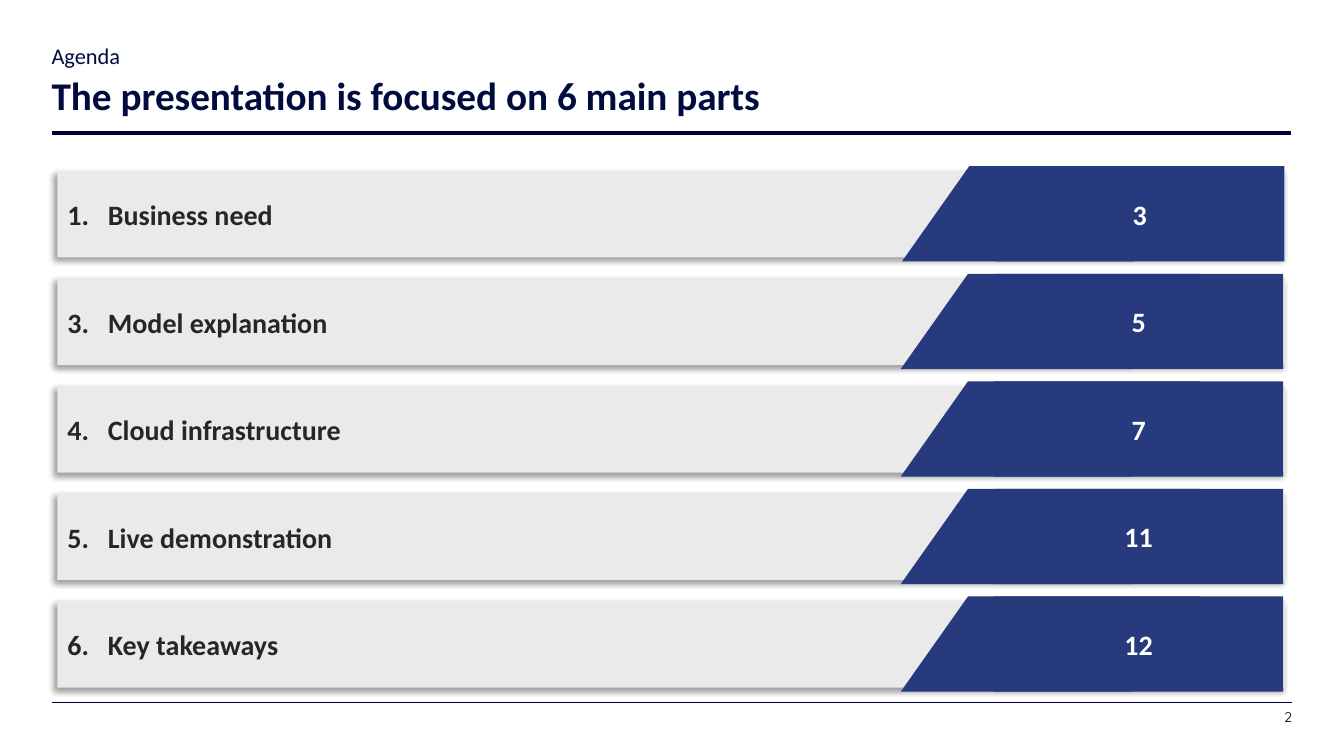
from dataclasses import dataclass
from pptx import Presentation
from pptx.dml.color import RGBColor as Rgb
from pptx.enum.shapes import MSO_CONNECTOR as Link, MSO_SHAPE as Form
from pptx.enum.text import MSO_ANCHOR as Anchor, PP_ALIGN as Align
from pptx.oxml import parse_xml
from pptx.oxml.ns import nsdecls
from pptx.shapes.autoshape import Shape
from pptx.slide import Slide
from pptx.util import Cm, Pt

HUES = {
    "white": "FFFFFF", "black": "000000", "rule": "000031", "head": "000B3E",
    "bar": "EAEAEA", "ink": "262626", "blue": "263A7D",
}
TOP, STEP = 4.31, 2.71  # first bar and row pitch, in cm
INDENT = 1.02           # from item number to item name, in cm


@dataclass
class Box:
    left: float
    top: float
    width: float
    height: float

    def place(self) -> tuple:
        return Cm(self.left), Cm(self.top), Cm(self.width), Cm(self.height)


@dataclass
class Part:
    num: int
    name: str
    page: int
    shift: float = 0


@dataclass
class Label:
    text: str
    box: Box
    font: dict
    hue: str
    para: dict
    anchor: Anchor = Anchor.TOP


@dataclass
class Rule:
    top: float
    right: float
    width: float


PARTS = [
    Part(1, "Business need", 3, 0.03),
    Part(3, "Model explanation", 5),
    Part(4, "Cloud infrastructure", 7),
    Part(5, "Live demonstration", 11),
    Part(6, "Key takeaways", 12),
]
LABELS = [
    Label("The presentation is focused on 6 main parts", Box(1.3, 1.63, 24.26, 1.68),
          {"name": "Calibri", "size": Pt(28), "bold": True}, "head",
          {"line_spacing": 0.9}, Anchor.MIDDLE),
    Label("Agenda", Box(1.3, 0.99, 24.26, 0.56),
          {"name": "Calibri", "size": Pt(16)}, "head",
          {"line_spacing": 1.1, "space_before": Pt(10)}),
    Label("2", Box(31.7, 17.86, 0.86, 0.43),
          {"name": "Quicksand", "size": Pt(10)}, "black",
          {"alignment": Align.RIGHT, "space_before": Pt(8)}),
]
RULES = [Rule(17.7, 32.56, 0.75), Rule(3.35, 32.54, 2.25)]
STRONG = {"name": "Calibri", "size": Pt(20), "bold": True}


def tint(key: str) -> Rgb:
    return Rgb.from_string(HUES[key])


def apply(item: object, values: dict) -> None:
    for key, value in values.items():
        setattr(item, key, value)


def write(shape: Shape, text: str, font: dict, hue: str, para: dict, anchor: Anchor) -> None:
    frame = shape.text_frame
    apply(frame, {"word_wrap": True, "vertical_anchor": anchor})
    line = frame.paragraphs[0]
    apply(line, para)
    run = line.add_run()
    run.text = text
    apply(run.font, font)
    run.font.color.rgb = tint(hue)


def draw_form(slide: Slide, form: Form, box: Box, hue: str) -> Shape:
    shape = slide.shapes.add_shape(form, *box.place())
    shape.shadow.inherit = False
    shape.fill.solid()
    shape.fill.fore_color.rgb = tint(hue)
    shape.line.fill.background()
    return shape


def cast_shade(shape: Shape) -> None:
    effects = shape._element.spPr.find("{*}effectLst")
    effects.append(parse_xml(
        f'<a:outerShdw {nsdecls("a")} blurRad="{Pt(4)}" dist="{Pt(3)}" dir="8100000" '
        f'algn="tr" rotWithShape="0"><a:srgbClr val="{HUES["black"]}">'
        '<a:alpha val="40000"/></a:srgbClr></a:outerShdw>'))


def draw_part(slide: Slide, part: Part, top: float) -> None:
    # Grey bar with a hanging number
    bar = draw_form(slide, Form.RECTANGLE, Box(1.45, top, 30.94, 2.18), "bar")
    cast_shade(bar)
    write(bar, f"{part.num}.\t{part.name}", STRONG, "ink",
          {"alignment": Align.LEFT}, Anchor.MIDDLE)
    props = bar.text_frame.paragraphs[0]._p.get_or_add_pPr()
    props.set("marL", str(Cm(INDENT)))
    props.set("indent", str(-Cm(INDENT)))

    # Blue page badge with a slanted left edge
    high = top - 0.12
    slant = draw_form(slide, Form.PARALLELOGRAM,
                      Box(22.7 + part.shift, high, 7.54, 2.4), "blue")
    slant.adjustments[0] = 0.707
    badge = draw_form(slide, Form.RECTANGLE,
                      Box(25.05 + part.shift, high, 7.29, 2.4), "blue")
    write(badge, str(part.page), STRONG, "white",
          {"alignment": Align.CENTER}, Anchor.MIDDLE)


def draw_label(slide: Slide, label: Label) -> None:
    box = slide.shapes.add_textbox(*label.box.place())
    sides = ("left", "top", "right", "bottom")
    apply(box.text_frame, {f"margin_{side}": 0 for side in sides})
    write(box, label.text, label.font, label.hue, label.para, label.anchor)


def draw_rule(slide: Slide, rule: Rule) -> None:
    line = slide.shapes.add_connector(
        Link.STRAIGHT, Cm(1.3), Cm(rule.top), Cm(rule.right), Cm(rule.top))
    line.line.color.rgb = tint("rule")
    line.line.width = Pt(rule.width)
    line._element.spPr.append(parse_xml(f'<a:effectLst {nsdecls("a")}/>'))


def main() -> None:
    deck = Presentation()
    apply(deck, {"slide_width": Cm(33.87), "slide_height": Cm(19.05)})
    slide = deck.slides.add_slide(deck.slide_layouts[6])

    # Rules, heading and page number
    for rule in RULES:
        draw_rule(slide, rule)
    for label in LABELS:
        draw_label(slide, label)

    # Agenda rows
    for row, part in enumerate(PARTS):
        draw_part(slide, part, TOP + row * STEP)

    deck.save("out.pptx")


if __name__ == "__main__":
    main()
